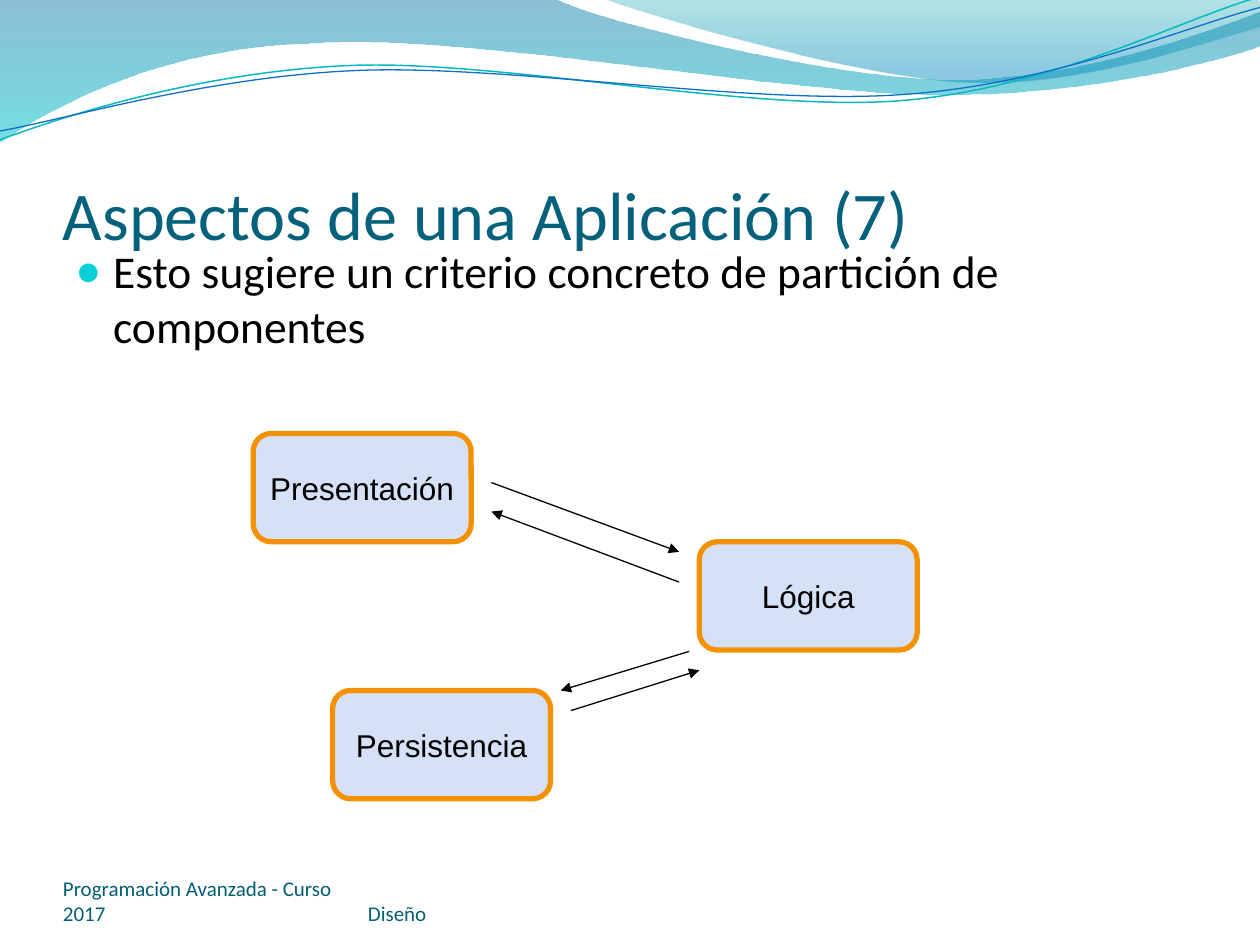
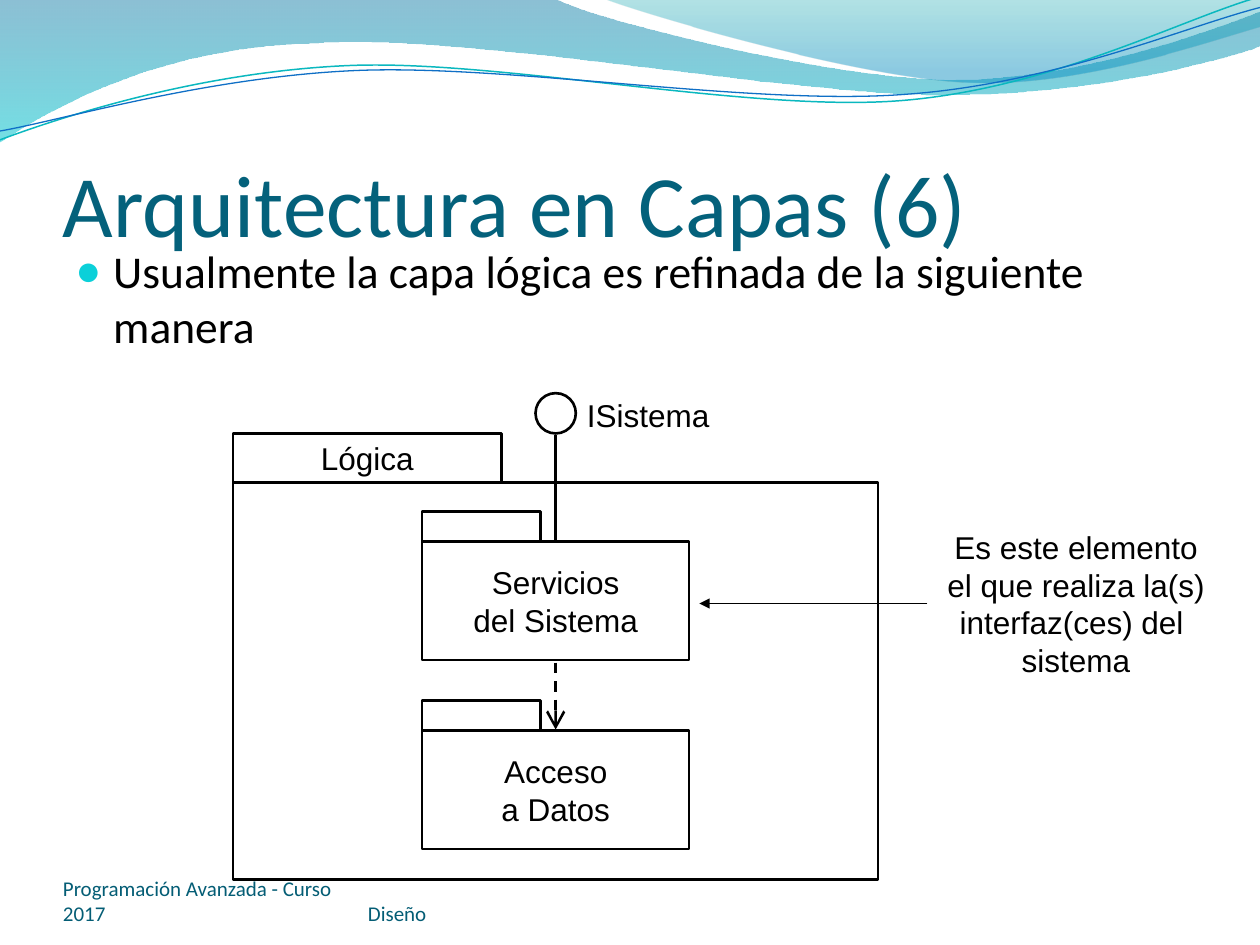
from dataclasses import dataclass
from math import cos, radians, sin

from lxml import etree
from pptx import Presentation
from pptx.dml.color import RGBColor
from pptx.enum.dml import MSO_LINE
from pptx.enum.shapes import MSO_CONNECTOR, MSO_SHAPE
from pptx.enum.text import MSO_ANCHOR, PP_ALIGN
from pptx.oxml.ns import qn
from pptx.util import Inches, Pt

RECTANGLE = MSO_SHAPE.RECTANGLE
ROUNDED = MSO_SHAPE.ROUNDED_RECTANGLE
OVAL = MSO_SHAPE.OVAL
STRAIGHT = MSO_CONNECTOR.STRAIGHT
DASH = MSO_LINE.DASH
TOP, MIDDLE, BOTTOM = MSO_ANCHOR.TOP, MSO_ANCHOR.MIDDLE, MSO_ANCHOR.BOTTOM
LEFT, CENTER = PP_ALIGN.LEFT, PP_ALIGN.CENTER

BLACK, WHITE = "000000", "FFFFFF"
TITLE_COLOR, FOOTER_COLOR, BULLET_COLOR = "04617B", "045D75", "0BD0D9"
ASPECT_FILL, ASPECT_BORDER = "AFC2F1", "F49100"
WAVE_TILT = 2.7
ASPECT_SIZE = (1.73, 0.86)
LAYER_WIDTH, LAYER_HEIGHT = 2.12, 0.94
LAYER_TAB = (0.94, 0.24)


@dataclass
class TextStyle:
    font: str
    size: float
    color: str
    align: PP_ALIGN = LEFT
    anchor: MSO_ANCHOR = TOP
    wrap: bool = True
    insets: tuple = (0.1, 0.05, 0.1, 0.05)


@dataclass
class GradientStop:
    position: float
    color: str
    opacity: int


@dataclass
class Wave:
    start: tuple
    segments: list
    stops: tuple = ()
    color: str = ""
    width: float = 0
    pivot: tuple = ()


@dataclass
class Package:
    left: float
    top: float
    width: float
    height: float
    tab: tuple
    name: str = ""
    tab_name: str = ""


@dataclass
class Arrow:
    start: tuple
    end: tuple
    width: float = 0.75
    tip: str = "triangle"
    tip_size: str = "med"
    tip_end: str = "a:tailEnd"
    dashed: bool = False


FOOTER_STYLE = TextStyle("Calibri", 12, FOOTER_COLOR, anchor=BOTTOM, insets=(0, 0, 0, 0))
BODY_STYLE = TextStyle("Calibri", 26, BLACK)
BOX_STYLE = TextStyle("Arial", 18, BLACK, CENTER, MIDDLE, wrap=False)
LABEL_STYLE = TextStyle("Arial", 18, BLACK, wrap=False)
NOTE_STYLE = TextStyle("Arial", 18, BLACK, CENTER, wrap=False)

WAVES = [
    Wave((0, 0), [
        (4.4, -0.01),
        (4.76, 0.17, 6.64, 0.63, 7.58, 0.63), (8.53, 0.63, 9.58, 0.26, 10, 0.09),
        (10.01, 0.36),
        (9.83, 0.44, 8.7, 0.76, 7.46, 0.75), (6.22, 0.75, 3.82, 0.28, 2.57, 0.34),
        (1.29, 0.36, 0.46, 0.83, -0.01, 1.13),
        (0, 0),
    ], stops=(GradientStop(0, "0074A1", 45), GradientStop(1, "00C6CF", 55))),
    Wave((4.79, -0.01), [
        (5.09, 0.11, 6.82, 0.62, 7.69, 0.65), (8.56, 0.69, 9.61, 0.32, 10, 0.21),
        (10, 0), (4.79, -0.01),
    ], stops=(GradientStop(0, "00A1A9", 30), GradientStop(0.8, "008BBF", 45))),
    Wave((0, 1.11), [
        (0.48, 0.93, 1.58, 0.57, 2.77, 0.52), (3.95, 0.47, 5.93, 0.89, 7.13, 0.8),
        (8.33, 0.71, 9.38, 0.15, 9.98, -0.02),
    ], color="0AB8BF", width=0.85, pivot=(4.99, 0.58)),
    Wave((0, 1.04), [
        (0.47, 0.96, 1.64, 0.61, 2.83, 0.56), (4.03, 0.51, 5.97, 0.84, 7.17, 0.75),
        (8.36, 0.67, 9.41, 0.21, 10, 0.06),
    ], color="0F6FC6", width=0.75, pivot=(5, 0.59)),
]


def rgb(color: str) -> RGBColor:
    return RGBColor.from_string(color)


def set_opacity(shape, percents: list) -> None:
    colors = shape.element.spPr.iter(qn("a:srgbClr"))
    for color, percent in zip(colors, percents):
        etree.SubElement(color, qn("a:alpha"), val=str(percent * 1000))


def write_text(shape, text: str, style: TextStyle) -> None:
    frame = shape.text_frame
    frame.word_wrap = style.wrap
    frame.vertical_anchor = style.anchor
    frame.margin_left, frame.margin_top, frame.margin_right, frame.margin_bottom = map(
        Inches, style.insets)
    frame.text = text
    for paragraph in frame.paragraphs:
        paragraph.alignment = style.align
        paragraph.font.name = style.font
        paragraph.font.size = Pt(style.size)
        paragraph.font.color.rgb = rgb(style.color)


def add_text(slide, place: tuple, text: str, style: TextStyle):
    box = slide.shapes.add_textbox(*map(Inches, place))
    write_text(box, text, style)
    return box


def add_box(slide, kind: MSO_SHAPE, place: tuple, text: str = "",
            fill: str = WHITE, border: str = BLACK, width: float = 1.5):
    box = slide.shapes.add_shape(kind, *map(Inches, place))
    box.shadow.inherit = False
    box.fill.solid()
    box.fill.fore_color.rgb = rgb(fill)
    box.line.color.rgb = rgb(border)
    box.line.width = Pt(width)
    if text:
        write_text(box, text, BOX_STYLE)
    return box


def add_arrow(slide, arrow: Arrow) -> None:
    connector = slide.shapes.add_connector(
        STRAIGHT, *map(Inches, arrow.start + arrow.end))
    connector.line.color.rgb = rgb(BLACK)
    connector.line.width = Pt(arrow.width)
    if arrow.dashed:
        connector.line.dash_style = DASH
    properties = connector.element.spPr
    if arrow.tip:
        etree.SubElement(properties.find(qn("a:ln")), qn(arrow.tip_end),
                         type=arrow.tip, w=arrow.tip_size, len=arrow.tip_size)
    etree.SubElement(properties, qn("a:effectLst"))


def level(point: tuple, pivot: tuple) -> tuple:
    if not pivot:
        return point
    angle = radians(WAVE_TILT)
    x, y = point[0] - pivot[0], point[1] - pivot[1]
    return (pivot[0] + x * cos(angle) - y * sin(angle),
            pivot[1] + x * sin(angle) + y * cos(angle))


def bend(shape, segments: list) -> None:
    sides = iter(list(shape.element.iter(qn("a:lnTo"))))
    for segment in segments:
        first = next(sides)
        if len(segment) == 2:
            continue
        curve = etree.Element(qn("a:cubicBezTo"))
        first.addprevious(curve)
        for side in (first, next(sides), next(sides)):
            curve.append(side[0])
            side.getparent().remove(side)


def add_wave(slide, wave: Wave) -> None:
    points = [wave.start]
    for segment in wave.segments:
        points += zip(segment[::2], segment[1::2])
    start, *others = [tuple(map(Inches, level(point, wave.pivot))) for point in points]
    outline = slide.shapes.build_freeform(*start)
    outline.add_line_segments(others, close=bool(wave.stops))
    shape = outline.convert_to_shape()
    bend(shape, wave.segments)
    shape.shadow.inherit = False
    if wave.pivot:
        shape.rotation = 360 - WAVE_TILT
        shape.fill.background()
        shape.line.color.rgb = rgb(wave.color)
        shape.line.width = Pt(wave.width)
        return
    shape.line.fill.background()
    shape.fill.gradient()
    shape.fill.gradient_angle = 270
    for target, stop in zip(shape.fill.gradient_stops, wave.stops):
        target.position = stop.position
        target.color.rgb = rgb(stop.color)
    set_opacity(shape, [stop.opacity for stop in wave.stops])


def add_bullet(slide, text: str, width: float) -> None:
    body = add_text(slide, (0.5, 1.88, width, 5.18), text, BODY_STYLE)
    body.text_frame.paragraphs[0].space_before = Pt(5.2)
    properties = next(body.element.iter(qn("a:pPr")))
    properties.set("marL", str(Inches(0.3)))
    properties.set("indent", str(-Inches(0.3)))
    color = etree.Element(qn("a:buClr"))
    etree.SubElement(color, qn("a:srgbClr"), val=BULLET_COLOR)
    size = etree.Element(qn("a:buSzPct"), val="95000")
    font = etree.Element(qn("a:buFont"), typeface="Arial")
    mark = etree.Element(qn("a:buChar"), char="●")
    for part in (color, size, font, mark):
        properties.find(qn("a:defRPr")).addprevious(part)


def add_package(slide, package: Package) -> None:
    tab_width, tab_height = package.tab
    add_box(slide, RECTANGLE, (package.left, package.top, package.width, package.height),
            package.name)
    add_box(slide, RECTANGLE,
            (package.left, package.top - tab_height, tab_width, tab_height),
            package.tab_name)


def add_base(deck, title: str, title_size: float, bullet: str, body_width: float):
    slide = deck.slides.add_slide(deck.slide_layouts[6])
    for wave in WAVES:
        add_wave(slide, wave)
    title_style = TextStyle("Calibri", title_size, TITLE_COLOR, anchor=BOTTOM,
                            insets=(0, 0.05, 0, 0))
    add_text(slide, (0.5, 0.77, 9, 1.25), title, title_style)
    add_bullet(slide, bullet, body_width)
    return slide


def add_footer(slide) -> None:
    add_text(slide, (0.5, 6.95, 2.33, 0.4), "Programación Avanzada - Curso 2017", FOOTER_STYLE)
    add_text(slide, (2.92, 6.95, 3.67, 0.4), "Diseño", FOOTER_STYLE)


def build_aspects(deck) -> None:
    slide = add_base(deck, "Aspectos de una Aplicación (7)", 39,
                     "Esto sugiere un criterio concreto de partición de componentes", 9)
    aspects = {"Presentación": (2.01, 3.44), "Lógica": (5.55, 4.3),
               "Persistencia": (2.64, 5.48)}
    for name, corner in aspects.items():
        aspect = add_box(slide, ROUNDED, corner + ASPECT_SIZE, name,
                         ASPECT_FILL, ASPECT_BORDER, 3)
        set_opacity(aspect, [50])
    for arrow in (Arrow((3.9, 3.83), (5.39, 4.38)),
                  Arrow((3.9, 4.06), (5.39, 4.62), tip_end="a:headEnd"),
                  Arrow((5.47, 5.17), (4.45, 5.48)),
                  Arrow((5.55, 5.32), (4.53, 5.64), tip_end="a:headEnd")):
        add_arrow(slide, arrow)
    add_footer(slide)


def build_layers(deck) -> None:
    slide = add_base(deck, "Arquitectura en Capas (6)", 50,
                     "Usualmente la capa lógica es refinada de la siguiente manera", 9.38)
    add_package(slide, Package(1.85, 3.83, 5.12, 3.15, (2.13, 0.39), tab_name="Lógica"))
    for name, top in (("Servicios\ndel Sistema", 4.3), ("Acceso\na Datos", 5.8)):
        add_package(slide, Package(3.35, top, LAYER_WIDTH, LAYER_HEIGHT, LAYER_TAB, name))
    axis = 3.35 + LAYER_WIDTH / 2
    add_arrow(slide, Arrow((axis, 5.26), (axis, 5.79), 1.5, "arrow", "lg", dashed=True))
    add_box(slide, OVAL, (axis - 0.16, 3.12, 0.32, 0.32))
    add_arrow(slide, Arrow((axis, 4.29), (axis, 3.45), 1.5, ""))
    add_text(slide, (4.56, 3.09, 1.17, 0.4), "ISistema", LABEL_STYLE)
    add_text(slide, (7.42, 4.14, 2.24, 1.3),
             "Es este elemento\nel que realiza la(s)\ninterfaz(ces) del \nsistema", NOTE_STYLE)
    add_arrow(slide, Arrow((7.36, 4.79), (5.55, 4.79)))
    add_footer(slide)


def main() -> None:
    deck = Presentation()
    deck.slide_width, deck.slide_height = Inches(10), Inches(7.5)
    build_aspects(deck)
    build_layers(deck)
    deck.save("out.pptx")


main()
